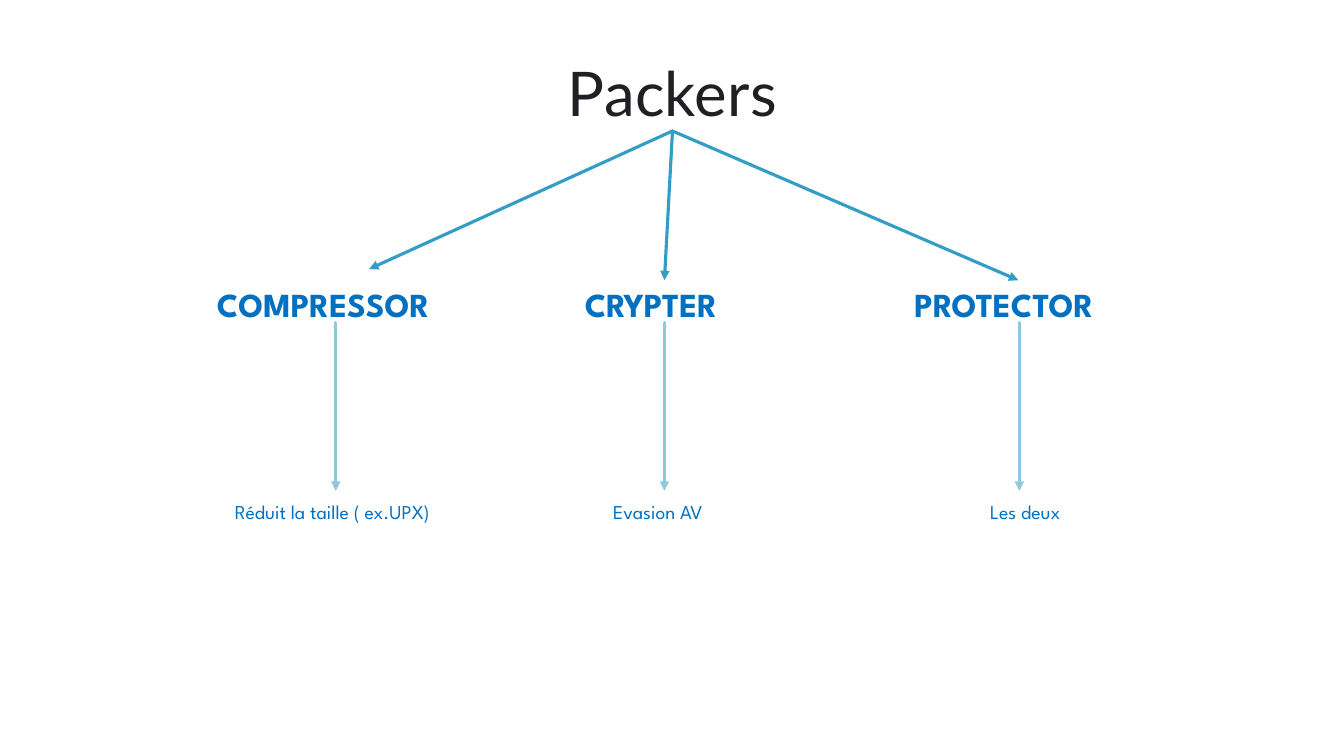
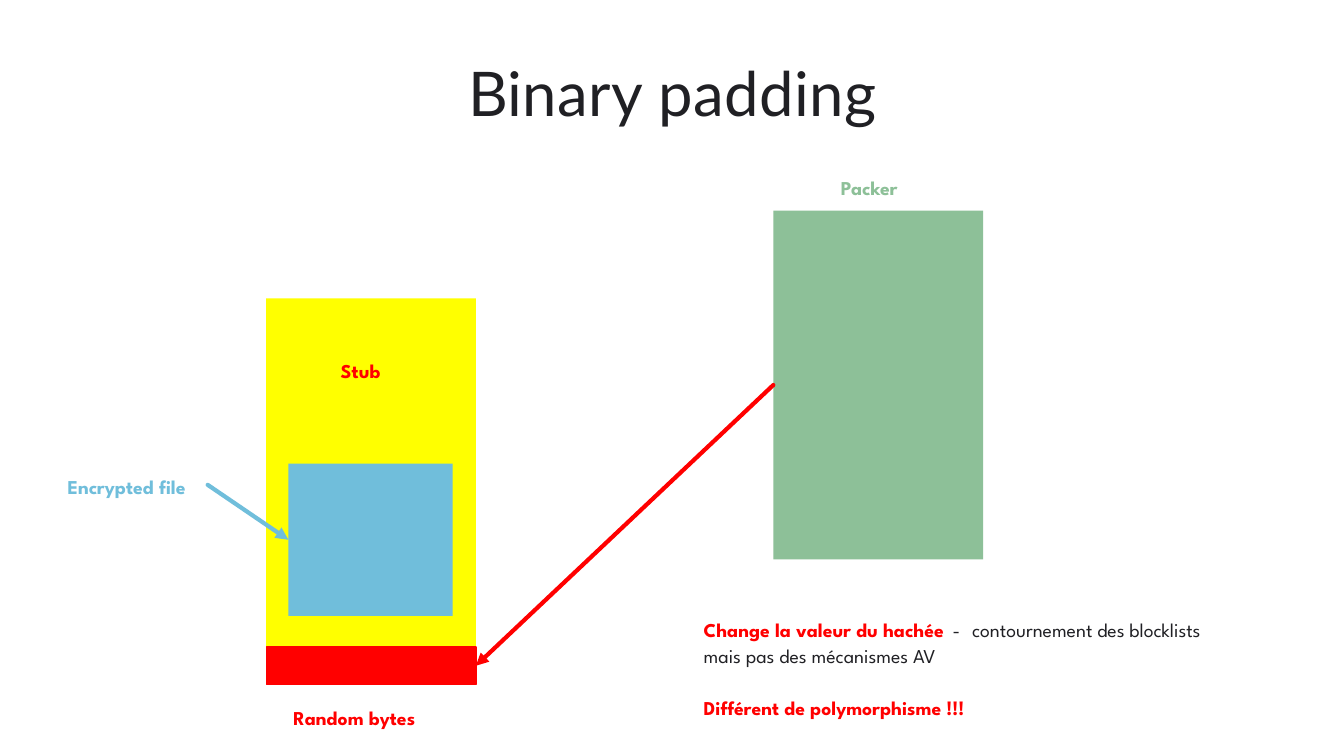
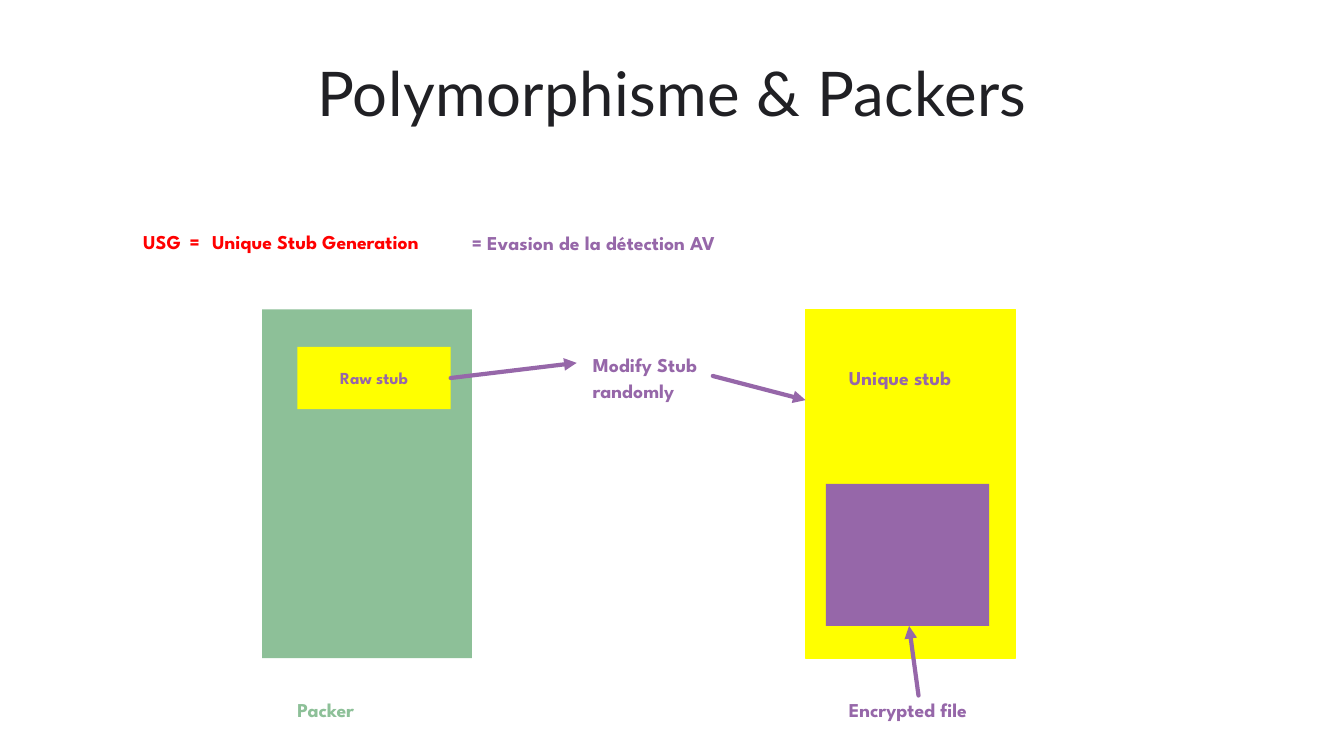
import pptx
import pptx.dml.color
import pptx.enum.shapes
import pptx.enum.text
import pptx.oxml.ns
import pptx.util
from lxml import etree

# Shared style
SLIDE_WIDTH, SLIDE_HEIGHT = 13.33, 7.5
TITLE_BOX = (0.79, 0.6, 11.76, 0.7)
TITLE_FORMAT = dict(font="Lato", size=44, color="202024", line_spacing=0.95,
                    align="CENTER", spacing=0.3)
INK, BLUE, PALE_BLUE, MID_BLUE = "202024", "0070C0", "90C8DE", "329EC6"
YELLOW, SKY, RED, GREEN, PURPLE = "FFFF00", "70BEDB", "FF0000", "8DC098", "9667A9"
BLOCK_WIDTH, BLOCK_HEIGHT = 2.08, 3.46
LINE_HEIGHT = 0.24
BLANK_LINE = 18.6

# Slide 1: name, name left and width, detail, detail left and width, axis, branch end
PACKER_KINDS = [
    ("COMPRESSOR", 2.15, 2.35, "Réduit la taille ( ex.UPX)", 2.33, 2.17, 3.33, (3.66, 2.67)),
    ("CRYPTER", 5.8, 1.59, "Evasion AV", 6.08, 1.02, 6.59, (6.59, 2.78)),
    ("PROTECTOR", 9.07, 2.05, "Les deux", 9.82, 0.82, 10.11, (10.1, 2.78)),
]
NAME_TOP, DETAIL_TOP = 2.78, 4.94

# Slide 2: blocks as box, fill, outline; labels as text, left, top, width, colour
STUB = (2.64, 2.96, BLOCK_WIDTH, BLOCK_HEIGHT)
PADDING = (STUB[0], STUB[1] + BLOCK_HEIGHT, BLOCK_WIDTH, 0.37)
ENCRYPTED = (2.86, 4.6, 1.63, 1.51)
PACKER = (7.67, 2.09, BLOCK_WIDTH, BLOCK_HEIGHT)
PADDING_BLOCKS = [(STUB, YELLOW, None), (ENCRYPTED, SKY, None),
                  (PACKER, GREEN, None), (PADDING, RED, RED)]
PADDING_LABELS = [
    ("Stub", 3.38, 3.54, 0.47, RED),
    ("Encrypted file", 0.67, 4.69, 1.39, SKY),
    ("Packer", 8.34, 1.72, 0.69, GREEN),
    ("Random bytes", 2.91, 6.98, 1.4, RED),
]
PLAIN = dict(color=INK, bold=False)
HASH_NOTE = [
    [("Change la valeur du hachée", {}), (" - ", dict(PLAIN, spacing=2.5)),
     ("contournement des blocklists", PLAIN)],
    [("mais pas des mécanismes AV", PLAIN)],
    "Différent de polymorphisme !!!",
]

# Slide 3
BLOCK_TOP, CAPTION_TOP = 3.07, 6.9
RAW_PACKER = (2.6, BLOCK_TOP, BLOCK_WIDTH, BLOCK_HEIGHT)
RAW_STUB = (2.95, 3.44, 1.52, 0.62)
UNIQUE_STUB = (7.99, BLOCK_TOP, BLOCK_WIDTH, BLOCK_HEIGHT)
PAYLOAD = (8.19, 4.8, 1.62, 1.41)
STUB_BLOCKS = [(RAW_PACKER, GREEN, None), (UNIQUE_STUB, YELLOW, YELLOW),
               (PAYLOAD, PURPLE, None)]
STUB_LABELS = [
    ([("USG", {}), (" = ", dict(spacing=2.5)), ("Unique Stub Generation", {})],
     1.42, 2.26, 3.04, RED),
    ("= Evasion de la détection AV", 4.68, 2.27, 2.74, PURPLE),
    ("Packer", 2.95, CAPTION_TOP, 0.69, GREEN),
    ("Unique stub", 8.42, 3.61, 1.19, PURPLE),
    ("Encrypted file", 8.42, CAPTION_TOP, 1.39, PURPLE),
]


def inches(*lengths):
    return [pptx.util.Inches(length) for length in lengths]


def paint(color_format, hex_color):
    color_format.rgb = pptx.dml.color.RGBColor.from_string(hex_color)


def format_run(run, font="League Spartan", size=14, color=INK, bold=False, spacing=0):
    run.font.name, run.font.size, run.font.bold = font, pptx.util.Pt(size), bold
    paint(run.font.color, color)
    if spacing:
        run._r.get_or_add_rPr().set("spc", str(round(spacing * 100)))


def write_text(frame, paragraphs, line_spacing=1.1, align="LEFT", anchor="TOP",
               inset=0, gaps=(), **run_format):
    """Fill a frame; a paragraph is a string or a list of (text, format) runs."""
    frame.word_wrap = True
    frame.auto_size = pptx.enum.text.MSO_AUTO_SIZE.NONE
    frame.vertical_anchor = getattr(pptx.enum.text.MSO_ANCHOR, anchor)
    frame.margin_left = frame.margin_right = pptx.util.Inches(inset)
    frame.margin_top = frame.margin_bottom = pptx.util.Inches(inset)
    for index, content in enumerate(paragraphs):
        paragraph = frame.add_paragraph() if index else frame.paragraphs[0]
        paragraph.line_spacing = line_spacing
        paragraph.alignment = getattr(pptx.enum.text.PP_ALIGN, align)
        if index in gaps:
            paragraph.space_before = pptx.util.Pt(BLANK_LINE)
        runs = [(content, {})] if isinstance(content, str) else content
        for text, changes in runs:
            run = paragraph.add_run()
            run.text = text
            format_run(run, **{**run_format, **changes})


def add_label(slide, box, paragraphs, **text_format):
    write_text(slide.shapes.add_textbox(*inches(*box)).text_frame, paragraphs, **text_format)


def add_block(slide, box, fill, outline=None):
    shape = slide.shapes.add_shape(pptx.enum.shapes.MSO_SHAPE.RECTANGLE, *inches(*box))
    shape.shadow.inherit = False
    shape.fill.solid()
    paint(shape.fill.fore_color, fill)
    if outline:
        paint(shape.line.color, outline)
        shape.line.width = pptx.util.Pt(1)
    else:
        shape.line.fill.background()
    return shape


def add_arrow(slide, start, end, color, width=3):
    connector = slide.shapes.add_connector(
        pptx.enum.shapes.MSO_CONNECTOR.STRAIGHT, *inches(*start, *end))
    paint(connector.line.color, color)
    connector.line.width = pptx.util.Pt(width)
    line = connector.line._get_or_add_ln()
    line.set("cap", "rnd")
    etree.SubElement(line, pptx.oxml.ns.qn("a:tailEnd"), type="triangle")
    etree.SubElement(connector._element.spPr, pptx.oxml.ns.qn("a:effectLst"))


def point(box, across, down):
    """A place in a box, given as shares of its width and height."""
    left, top, width, height = box
    return left + across * width, top + down * height


def add_slide(presentation, layout, title, blocks=(), labels=()):
    slide = presentation.slides.add_slide(layout)
    write_text(slide.shapes.title.text_frame, [title], **TITLE_FORMAT)
    for block in blocks:
        add_block(slide, *block)
    for text, left, top, width, color in labels:
        add_label(slide, (left, top, width, LINE_HEIGHT), [text], color=color, bold=True)
    return slide


def build_packers(presentation, layout):
    slide = add_slide(presentation, layout, "Packers")
    hub = point(TITLE_BOX, 0.5, 1)
    for name, name_left, name_width, detail, left, width, axis, branch_end in PACKER_KINDS:
        add_label(slide, (name_left, NAME_TOP, name_width, 0.42), [name],
                  size=24, color=BLUE, bold=True)
        add_label(slide, (left, DETAIL_TOP, width, LINE_HEIGHT), [detail], color=BLUE)
        add_arrow(slide, (axis, NAME_TOP + 0.42), (axis, DETAIL_TOP - 0.07), PALE_BLUE, 2.25)
        add_arrow(slide, hub, branch_end, MID_BLUE, 2.25)


def build_padding(presentation, layout):
    slide = add_slide(presentation, layout, "Binary padding", PADDING_BLOCKS, PADDING_LABELS)
    add_label(slide, (6.98, 6.11, 5.67, 1.02), HASH_NOTE, color=RED, bold=True, gaps=(2,))
    add_arrow(slide, (2.06, 4.81), point(ENCRYPTED, 0, 0.5), SKY)
    add_arrow(slide, point(PACKER, 0, 0.5), point(PADDING, 1, 0.5), RED)


def build_polymorphism(presentation, layout):
    slide = add_slide(presentation, layout, "Polymorphisme & Packers", STUB_BLOCKS, STUB_LABELS)
    raw_stub = add_block(slide, RAW_STUB, YELLOW)
    write_text(raw_stub.text_frame, ["Raw stub"], line_spacing=1.0, align="CENTER",
               anchor="MIDDLE", inset=0.08, size=12, color=PURPLE, bold=True)
    add_label(slide, (5.88, 3.48, 1.18, 0.5), ["Modify Stub", "randomly"],
              color=PURPLE, bold=True)
    add_arrow(slide, point(RAW_STUB, 1, 0.5), (5.72, 3.6), PURPLE)
    add_arrow(slide, (7.07, 3.73), point(UNIQUE_STUB, 0, 0.26), PURPLE)
    add_arrow(slide, (9.11, CAPTION_TOP), point(PAYLOAD, 0.51, 1), PURPLE)


def main():
    presentation = pptx.Presentation()
    presentation.slide_width, presentation.slide_height = inches(SLIDE_WIDTH, SLIDE_HEIGHT)
    layout = presentation.slide_layouts.get_by_name("Title Only")
    title = layout.placeholders[0]
    title.left, title.top, title.width, title.height = inches(*TITLE_BOX)
    for build in (build_packers, build_padding, build_polymorphism):
        build(presentation, layout)
    presentation.save("out.pptx")


if __name__ == "__main__":
    main()
